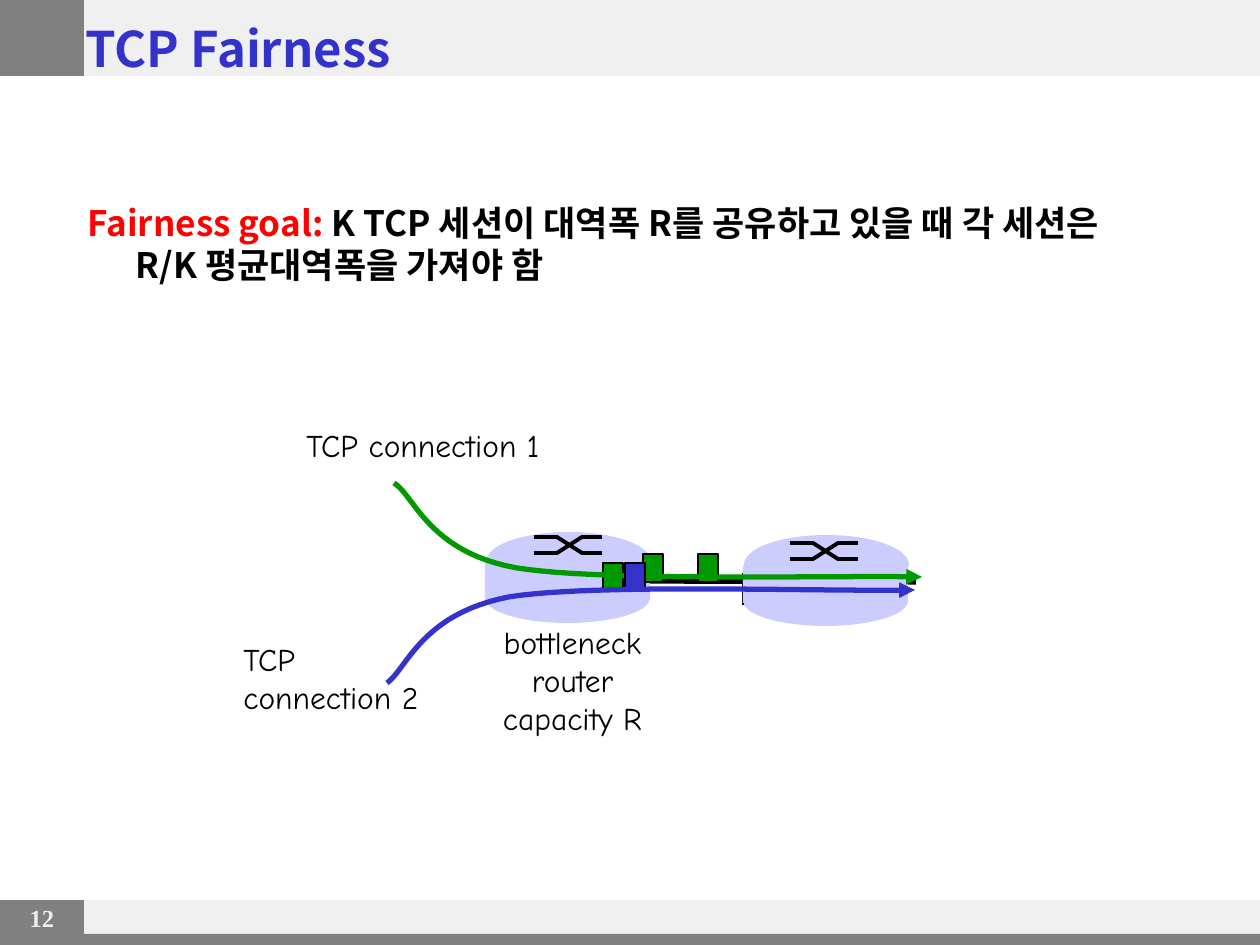
from dataclasses import dataclass
from typing import Optional

from lxml import etree
from pptx import Presentation
from pptx import util as u
from pptx.dml.color import RGBColor
from pptx.enum import shapes, text
from pptx.oxml.ns import qn

PX = 914400 / 126  # EMU in one px
SANS, COMIC, SERIF = "Noto Sans CJK KR", "Comic Neue", "Times New Roman"
LIGHT, GREY, CLOUD = "F0F0F0", "808080", "CCCCFF"
GREEN, BLUE, BLACK = "009900", "3333CC", "000000"
RECT, OVAL = shapes.MSO_SHAPE.RECTANGLE, shapes.MSO_SHAPE.OVAL
LEFT, CENTER = text.PP_ALIGN.LEFT, text.PP_ALIGN.CENTER


@dataclass
class Router:
    x: int
    y: int
    cross_x: int
    cross_y: int
    edge: bool = False


@dataclass
class Flow:
    points: list  # start, then three points for each cubic curve
    packets: list  # top left corners
    color: str


@dataclass
class Label:
    box: tuple
    lines: list
    align: text.PP_ALIGN = LEFT


def emu(n: float) -> u.Emu:
    return u.Emu(round(n * PX))


def rgb(color: str) -> RGBColor:
    return RGBColor.from_string(color)


def add_box(s, kind, box: tuple, fill: str, line: Optional[str] = None):
    sp = s.shapes.add_shape(kind, *map(emu, box))
    sp.shadow.inherit = False
    sp.fill.solid()
    sp.fill.fore_color.rgb = rgb(fill)
    if line:
        sp.line.color.rgb = rgb(line)
        sp.line.width = u.Pt(0.75)
    else:
        sp.line.fill.background()
    return sp


def add_line(s, x1: int, y1: int, x2: int, y2: int, width: float):
    ln = s.shapes.add_connector(shapes.MSO_CONNECTOR.STRAIGHT, *map(emu, (x1, y1, x2, y2)))
    ln.line.color.rgb = rgb(BLACK)
    ln.line.width = u.Pt(width)
    etree.SubElement(ln.element.spPr, qn("a:effectLst"))


def add_run(p, txt: str, *, size: float, font: str, color: str, bold=False):
    r = p.add_run()
    r.text = txt
    f = r.font
    f.name, f.size, f.bold = font, u.Pt(size), bold
    f.color.rgb = rgb(color)
    etree.SubElement(r.font._element, qn("a:ea"), typeface=font)


def add_text(s, box: tuple, lines: list, *, align=LEFT, wrap=True, **fmt):
    tf = s.shapes.add_textbox(*map(emu, box)).text_frame
    tf.word_wrap = wrap
    for i, line in enumerate(lines):
        p = tf.add_paragraph() if i else tf.paragraphs[0]
        p.alignment = align
        add_run(p, line, **fmt)


def place(sp, box: tuple):
    sp.left, sp.top, sp.width, sp.height = map(emu, box)
    tf = sp.text_frame
    tf.word_wrap = True
    tf.auto_size = text.MSO_AUTO_SIZE.NONE
    tf.paragraphs[0].alignment = LEFT
    return tf


def draw_router(s, router: Router):
    x, y = router.x, router.y
    add_box(s, OVAL, (x, y + 41, 165, 50), CLOUD)
    if router.edge:
        add_line(s, x, y + 38, x, y + 70, 1)
    add_box(s, RECT, (x, y + 31, 165, 37), CLOUD)
    add_box(s, OVAL, (x + 1, y, 165, 59), CLOUD)
    # Crossed switch: two paths swapping height
    for a, b in ((0, 16), (16, 0)):
        cx, top, end = router.cross_x, router.cross_y + a, router.cross_y + b
        add_line(s, cx, top, cx + 24, top, 2.25)
        add_line(s, cx + 23, top, cx + 48, end, 2.25)
        add_line(s, cx + 47, end, cx + 68, end, 2.25)


def bezier(a: tuple, b: tuple, c: tuple, d: tuple, steps: int = 24) -> list:
    pts = []
    for i in range(1, steps + 1):
        t = i / steps
        k = 1 - t
        pts.append(tuple(emu(k**3 * m + 3 * k * k * t * n + 3 * k * t * t * o + t**3 * q)
                         for m, n, o, q in zip(a, b, c, d)))
    return pts


def draw_flow(s, flow: Flow):
    # Packets lie under the curve of their own flow
    for x, y in flow.packets:
        add_box(s, RECT, (x, y, 20, 28), flow.color, BLACK)
    pts = flow.points
    fb = s.shapes.build_freeform(*map(emu, pts[0]))
    for i in range(0, len(pts) - 1, 3):
        fb.add_line_segments(bezier(*pts[i:i + 4]), close=False)
    sp = fb.convert_to_shape()
    sp.shadow.inherit = False
    sp.fill.background()
    sp.line.color.rgb = rgb(flow.color)
    sp.line.width = u.Pt(3)
    etree.SubElement(sp.line._get_or_add_ln(), qn("a:tailEnd"), type="triangle")


ROUTERS = [Router(485, 532, 534, 537), Router(743, 535, 790, 543, edge=True)]
FLOWS = [
    Flow([(394, 483), (415, 496), (428, 552), (517, 568),
          (605, 582), (838, 575), (922, 577)],
         [(698, 554), (603, 563), (643, 554)], GREEN),
    Flow([(387, 683), (407, 669), (421, 614), (509, 597),
          (596, 583), (830, 592), (915, 590)],
         [(625, 563)], BLUE),
]
LABELS = [
    Label((294, 420, 271, 50), ["TCP connection 1"]),
    Label((481, 617, 183, 126), ["bottleneck", "router", "capacity R"], CENTER),
    Label((231, 634, 209, 88), ["TCP", "connection 2"]),
]


def main():
    prs = Presentation()
    prs.slide_width, prs.slide_height = emu(1260), emu(945)
    s = prs.slides.add_slide(prs.slide_layouts[1])
    title, body = s.placeholders

    # Header and footer bands, page number
    for y, h in ((900, 45), (0, 76)):
        add_box(s, RECT, (0, y, 1260, h), LIGHT)
        add_box(s, RECT, (0, y, 84, h), GREY)
    add_text(s, (5, 897, 74, 42), ["12"], align=CENTER,
             size=14, font=SERIF, color="EEEEEE", bold=True)
    add_box(s, RECT, (0, 934, 1260, 11), GREY)

    # Title, in front of its band
    s.shapes.element.append(title.element)
    tf = place(title, (73, 12, 1071, 72))
    tf.vertical_anchor = text.MSO_ANCHOR.MIDDLE
    add_run(tf.paragraphs[0], "TCP Fairness", size=28, font=SANS, color=BLUE, bold=True)

    # Fairness goal
    p = place(body, (75, 195, 1050, 302)).paragraphs[0]
    pPr = p._p.get_or_add_pPr()
    pPr.set("marL", str(emu(48)))
    pPr.set("indent", str(emu(-48)))
    etree.SubElement(pPr, qn("a:buNone"))
    p.line_spacing = 1.0
    p.space_before = u.Pt(0)
    goal = dict(size=20, font=SANS, bold=True)
    add_run(p, "Fairness goal:", color="FF0000", **goal)
    add_run(p, " K TCP 세션이 대역폭 R를 공유하고 있을 때 각 세션은 R/K 평균대역폭을 가져야 함",
            color=BLACK, **goal)

    # Network: shared link, routers, flows and labels
    add_line(s, 649, 581, 916, 582, 3)
    for router in ROUTERS:
        draw_router(s, router)
    for flow in FLOWS:
        draw_flow(s, flow)
    for label in LABELS:
        add_text(s, label.box, label.lines, align=label.align, wrap=False,
                 size=18, font=COMIC, color=BLACK)

    prs.save("out.pptx")


if __name__ == "__main__":
    main()
